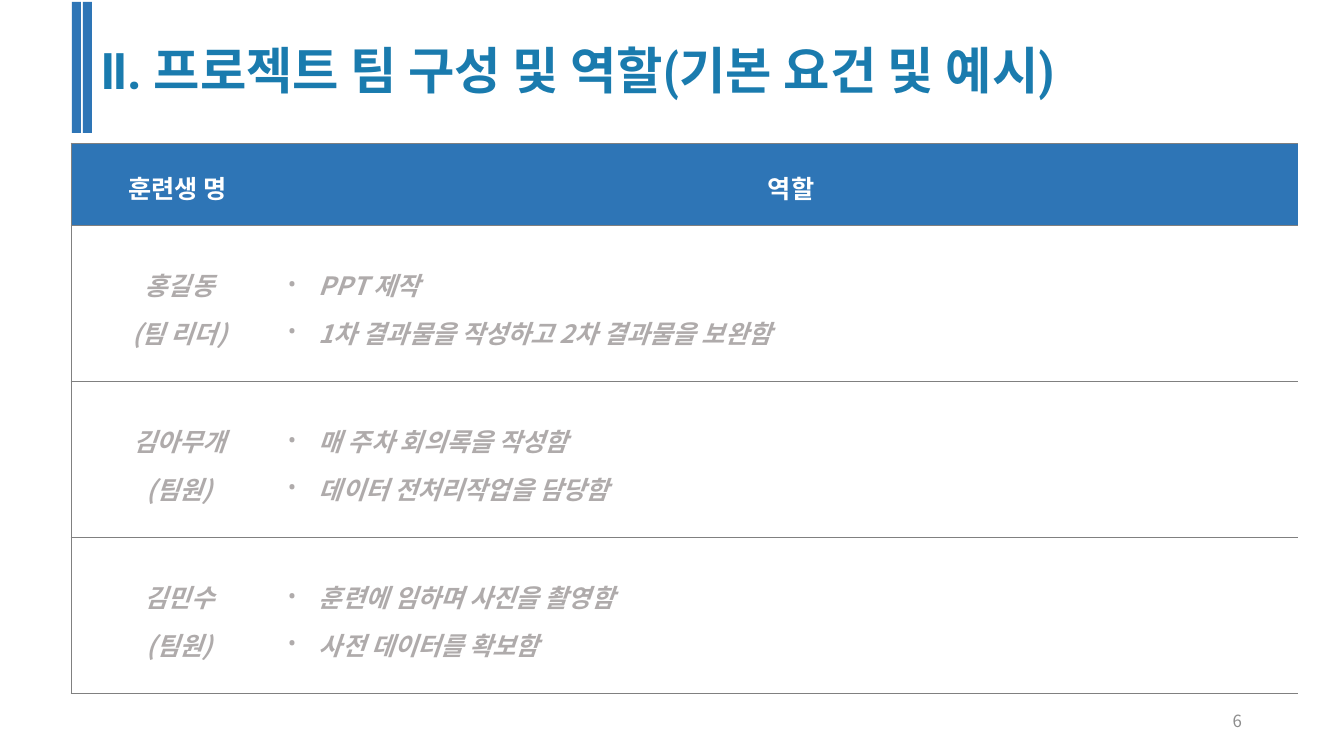
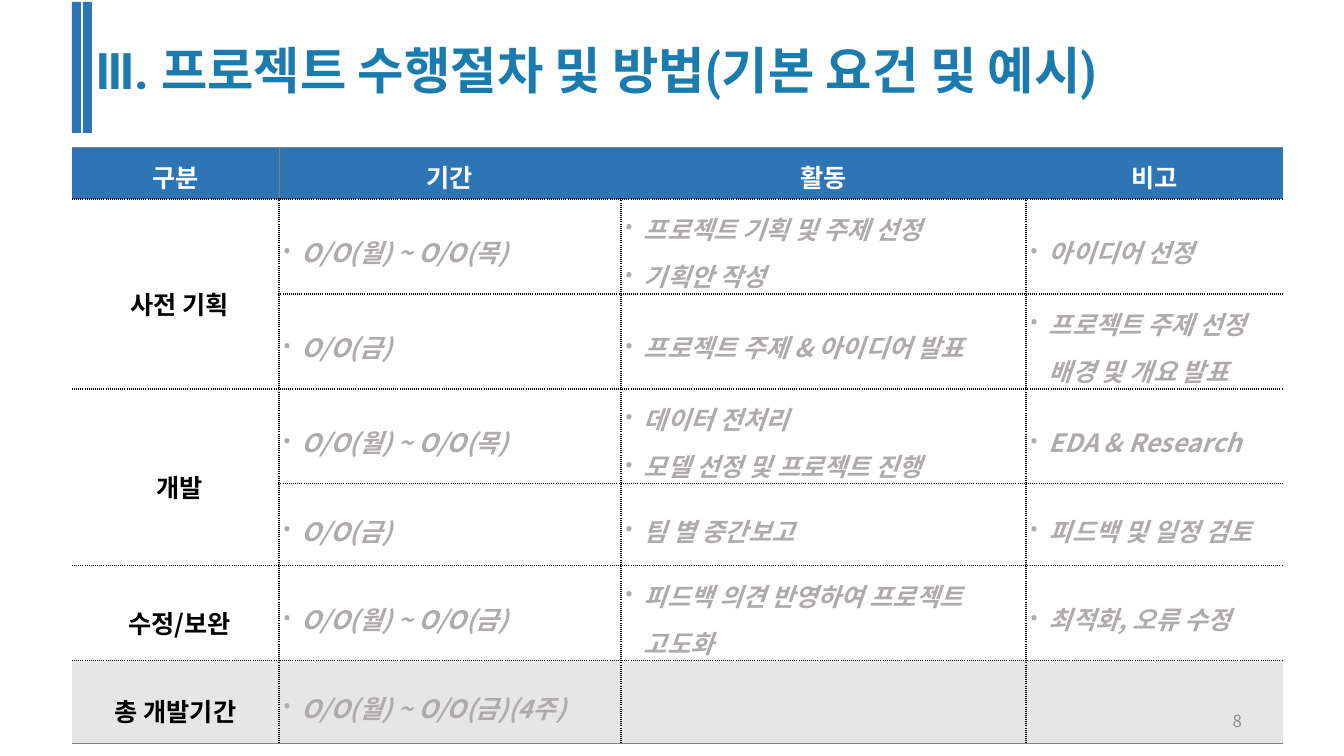
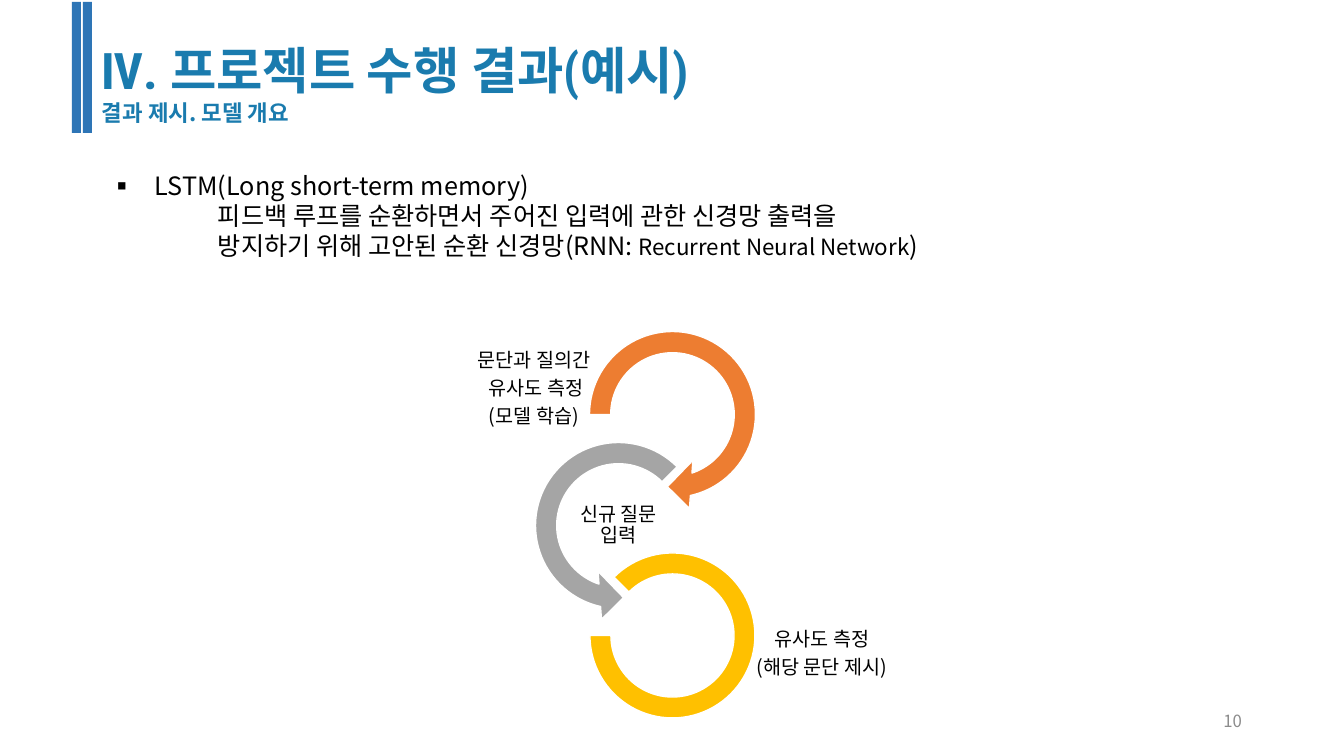
"""Build three project report slides: team roles, schedule and model overview."""
import dataclasses
import typing

import lxml.etree
import pptx
import pptx.dml.color
import pptx.enum.shapes
import pptx.enum.text
import pptx.oxml.ns
import pptx.util

SCALE = 914400 / 100.8
COLORS = {
    "blue": "2E75B6", "title": "1A7BAE", "white": "FFFFFF", "black": "000000",
    "note": "AFABAB", "page": "8C8C8C", "total": "E7E6E6", "rule": "808080",
    "orange": "ED7D31", "gray": "A5A5A5", "gold": "FFC000",
}
SANS = "Noto Sans CJK KR"
SLIM = "Roboto Condensed"
SHAPE = pptx.enum.shapes.MSO_SHAPE
ALIGN = pptx.enum.text.PP_ALIGN
MIDDLE = pptx.enum.text.MSO_ANCHOR.MIDDLE
Pt = pptx.util.Pt
Box = tuple[int, int, int, int]


class Run(typing.NamedTuple):
    """A piece of text and its own font values."""
    text: str
    form: dict[str, typing.Any] = {}


@dataclasses.dataclass(frozen=True)
class Look:
    """Font and paragraph format."""
    color: str
    font: dict[str, typing.Any]
    para: dict[str, typing.Any] = dataclasses.field(default_factory=dict)
    left: int = 0
    hang: int = 0
    mark: str = ""


class Line(typing.NamedTuple):
    """A paragraph."""
    look: Look
    runs: tuple[Run, ...]


class Pen(typing.NamedTuple):
    """A cell border."""
    color: str
    width: float
    dash: str


class Ring(typing.NamedTuple):
    """A round arrow with its label."""
    kind: pptx.enum.shapes.MSO_SHAPE
    box: Box
    color: str
    bends: tuple[float, ...]
    label: str
    place: Box


@dataclasses.dataclass(frozen=True)
class Grid:
    """A table with a header row and a name column."""
    spot: tuple[int, int]
    cols: tuple[int, ...]
    rows: tuple[int, ...]
    cells: tuple[tuple[str, ...], ...]
    name: Look
    item: Look
    pad: int
    rule: Pen
    left: Pen | None = None
    stem: Pen | None = None
    inner: Pen | None = None
    spans: tuple[tuple[int, int], ...] = ()
    total: bool = False


def font(size: int, **more: typing.Any) -> dict[str, typing.Any]:
    """Return font values in the text face."""
    return {"name": SANS, "size": Pt(size)} | more


def para(align: typing.Any, space: float) -> dict[str, typing.Any]:
    """Return alignment and line spacing."""
    return {"alignment": align, "line_spacing": space}


BOLD = font(18, bold=True)
SLANT = font(18, bold=True, italic=True)
TITLE = Look("title", font(36, bold=True, name=SLIM))
SUB = Look("title", font(16, bold=True))
PAGE = Look("page", font(12), {"alignment": ALIGN.RIGHT})
HEAD = Look("white", BOLD, para(ALIGN.CENTER, 1.2))
NAME = Look("note", SLANT, para(ALIGN.CENTER, 1.3))
ROLE = Look("note", SLANT, para(ALIGN.LEFT, 1.3), 31, 31, "•")
PHASE = Look("black", BOLD, para(ALIGN.CENTER, 1.5))
TASK = dataclasses.replace(ROLE, left=19, hang=19)
POINT = Look("black", font(18), {}, 38, 38, "▪")
PLAIN = Look("black", font(18), {}, 101)
LABEL = Look("black", font(14), para(ALIGN.CENTER, 0.9) | {"space_after": Pt(5)})
GREY = Pen("rule", 0.5, "solid")
DOT = Pen("black", 1, "sysDot")

TEAM = Grid(
    (71, 143), (213, 1014), (82, 156, 156, 156),
    (
        ("훈련생 명", "역할"),
        ("홍길동\n(팀 리더)", "PPT 제작\n1차 결과물을 작성하고 2차 결과물을 보완함"),
        ("김아무개\n(팀원)", "매 주차 회의록을 작성함\n데이터 전처리작업을 담당함"),
        ("김민수\n(팀원)", "훈련에 임하며 사진을 촬영함\n사전 데이터를 확보함"),
    ),
    NAME, ROLE, 4, GREY, left=GREY,
)
PLAN = Grid(
    (72, 147), (207, 342, 405, 257), (52, 95, 95, 95, 82, 95, 82),
    (
        ("구분", "기간", "활동", "비고"),
        ("사전 기획", "O/O(월) ~ O/O(목)", "프로젝트 기획 및 주제 선정\n기획안 작성", "아이디어 선정"),
        ("", "O/O(금)", "프로젝트 주제 & 아이디어 발표", "프로젝트 주제 선정 배경 및 개요 발표"),
        ("개발", "O/O(월) ~ O/O(목)", "데이터 전처리\n모델 선정 및 프로젝트 진행", "EDA & Research"),
        ("", "O/O(금)", "팀 별 중간보고", "피드백 및 일정 검토"),
        ("수정/보완", "O/O(월) ~ O/O(금)", "피드백 의견 반영하여 프로젝트 고도화", "최적화, 오류 수정"),
        ("총 개발기간", "O/O(월) ~ O/O(금)(4주)", "", ""),
    ),
    PHASE, TASK, 8, DOT, stem=GREY, inner=DOT, spans=((1, 2), (3, 4)), total=True,
)
MODEL = [
    Line(POINT, (Run("LSTM(Long short-term memory)"),)),
    Line(PLAIN, (Run("피드백 루프를 순환하면서 주어진 입력에 관한 신경망 출력을"),)),
    Line(PLAIN, (
        Run("방지하기 위해 고안된 순환 신경망(RNN: "),
        Run("Recurrent Neural Network", {"size": Pt(16)}),
        Run(")"),
    )),
]
RINGS = (
    Ring(SHAPE.CIRCULAR_ARROW, (576, 318, 193, 193), "orange", (0.11, 11.42, 45, 108, 0.125),
         "문단과 질의간\n 유사도 측정\n(모델 학습)", (382, 363, 304, 53)),
    Ring(SHAPE.LEFT_CIRCULAR_ARROW, (522, 429, 193, 193), "gray", (0.11, 11.42, 63, 189, 0.125),
         "신규 질문 입력", (565, 499, 107, 53)),
    Ring(SHAPE.BLOCK_ARC, (590, 553, 165, 165), "gold", (135, 108, 0.127),
         "유사도 측정\n(해당 문단 제시)", (707, 628, 230, 53)),
)


def px(count: float) -> int:
    """Turn pixels into EMU."""
    return round(count * SCALE)


def rgb(name: str) -> pptx.dml.color.RGBColor:
    """Look up a colour."""
    return pptx.dml.color.RGBColor.from_string(COLORS[name])


def node(root: typing.Any, tag: str, **attrs: str) -> typing.Any:
    """Append a drawing element."""
    return lxml.etree.SubElement(root, pptx.oxml.ns.qn(f"a:{tag}"), attrs)


def apply(target: typing.Any, form: dict[str, typing.Any]) -> None:
    """Set attributes from format values."""
    for key, value in form.items():
        setattr(target, key, value)


def lines(text: str, look: Look) -> list[Line]:
    """Split text into paragraphs of one look."""
    return [Line(look, (Run(part),)) for part in text.split("\n")]


def write(frame: typing.Any, paras: list[Line]) -> None:
    """Fill a text frame."""
    for count, (look, runs) in enumerate(paras):
        block = frame.add_paragraph() if count else frame.paragraphs[0]
        apply(block, look.para)
        props = block._p.get_or_add_pPr()
        if look.left:
            props.set("marL", str(px(look.left)))
            props.set("indent", str(-px(look.hang)))
        if look.mark:
            node(props, "buFont", typeface=SLIM)
            node(props, "buChar", char=look.mark)
        for piece in runs:
            run = block.add_run()
            run.text = piece.text
            apply(run.font, look.font | piece.form)
            run.font.color.rgb = rgb(look.color)


def label(slide: typing.Any, box: Box, paras: list[Line], form: dict[str, typing.Any] = {}) -> None:
    """Add a text box."""
    frame = slide.shapes.add_textbox(*map(px, box)).text_frame
    apply(frame, {"word_wrap": True} | form)
    write(frame, paras)


def shape(slide: typing.Any, kind: typing.Any, box: Box, color: str) -> typing.Any:
    """Add a filled shape without an outline."""
    item = slide.shapes.add_shape(kind, *map(px, box))
    item.shadow.inherit = False
    item.fill.solid()
    item.fill.fore_color.rgb = rgb(color)
    item.line.fill.background()
    return item


def border(cell: typing.Any, side: str, pen: Pen | None) -> None:
    """Draw one side of a cell."""
    props = cell._tc.get_or_add_tcPr()
    if pen is None:
        node(node(props, f"ln{side}"), "noFill")
        return
    edge = node(props, f"ln{side}", w=str(Pt(pen.width)))
    node(node(edge, "solidFill"), "srgbClr", val=COLORS[pen.color])
    node(edge, "prstDash", val=pen.dash)


def paint(cell: typing.Any, color: str) -> None:
    """Fill a cell, or clear it."""
    if color:
        cell.fill.solid()
        cell.fill.fore_color.rgb = rgb(color)
    else:
        cell.fill.background()


def table(slide: typing.Any, grid: Grid) -> None:
    """Draw a table."""
    wide, high = len(grid.cols), len(grid.rows)
    size = grid.spot + (sum(grid.cols), sum(grid.rows))
    body = slide.shapes.add_table(high, wide, *map(px, size)).table
    apply(body, {"first_row": False, "horz_banding": False})
    for column, width in zip(body.columns, grid.cols):
        column.width = px(width)
    for line, height in zip(body.rows, grid.rows):
        line.height = px(height)
    for top, end in grid.spans:
        body.cell(top, 0).merge(body.cell(end, 0))
    for row, texts in enumerate(grid.cells):
        head, last = row == 0, row == high - 1
        total = grid.total and last
        inner = [None if head else grid.inner] * (wide - 2)
        walls = [grid.left, grid.stem if head else grid.inner, *inner, None]
        for col, text in enumerate(texts):
            cell = body.cell(row, col)
            look = HEAD if head else grid.item if col else grid.name
            pad = 0 if head or (total and not col) else 4 if col else grid.pad
            apply(cell, {
                "margin_left": px(pad), "margin_right": 0, "margin_top": 0,
                "margin_bottom": 0, "vertical_anchor": MIDDLE,
            })
            border(cell, "L", walls[col])
            border(cell, "R", walls[col + 1])
            border(cell, "T", GREY if head else grid.rule)
            border(cell, "B", GREY if last else grid.rule)
            paint(cell, "blue" if head else "total" if total else "")
            if text:
                write(cell.text_frame, lines(text, look))


def page(deck: typing.Any, title: str, box: Box, sub: str = "") -> typing.Any:
    """Add a slide with its title and bars."""
    slide = deck.slides.add_slide(deck.slide_layouts[6])
    for left in (72, 83):
        shape(slide, SHAPE.RECTANGLE, (left, 2, 9, 131), "blue")
    label(slide, box, lines(title, TITLE) + (lines(sub, SUB) if sub else []))
    return slide


def number(slide: typing.Any, count: int) -> None:
    """Add the page number."""
    label(slide, (950, 701, 302, 40), lines(str(count), PAGE), {"vertical_anchor": MIDDLE})


def rings(slide: typing.Any) -> None:
    """Draw the chain of round arrows."""
    sides = ("left", "right", "top", "bottom")
    form = {f"margin_{side}": px(1) for side in sides} | {"vertical_anchor": MIDDLE}
    for ring in RINGS:
        item = shape(slide, ring.kind, ring.box, ring.color)
        item.line.color.rgb = rgb("white")
        item.line.width = Pt(1)
        for spot, bend in enumerate(ring.bends):
            item.adjustments[spot] = bend
        label(slide, ring.place, lines(ring.label, LABEL), form)


def main() -> None:
    """Build and save the slides."""
    deck = pptx.Presentation()
    apply(deck, {"slide_width": px(1344), "slide_height": px(756)})
    team = page(deck, "Ⅱ. 프로젝트 팀 구성 및 역할(기본 요건 및 예시)", (92, 34, 1056, 72))
    table(team, TEAM)
    number(team, 6)
    plan = page(deck, "Ⅲ. 프로젝트 수행절차 및 방법(기본 요건 및 예시)", (87, 34, 1101, 72))
    table(plan, PLAN)
    number(plan, 8)
    model = page(deck, "Ⅳ. 프로젝트 수행 결과(예시)", (92, 34, 750, 99), "결과 제시. 모델 개요")
    label(model, (107, 165, 1053, 163), MODEL)
    rings(model)
    number(model, 10)
    deck.save("out.pptx")


main()
